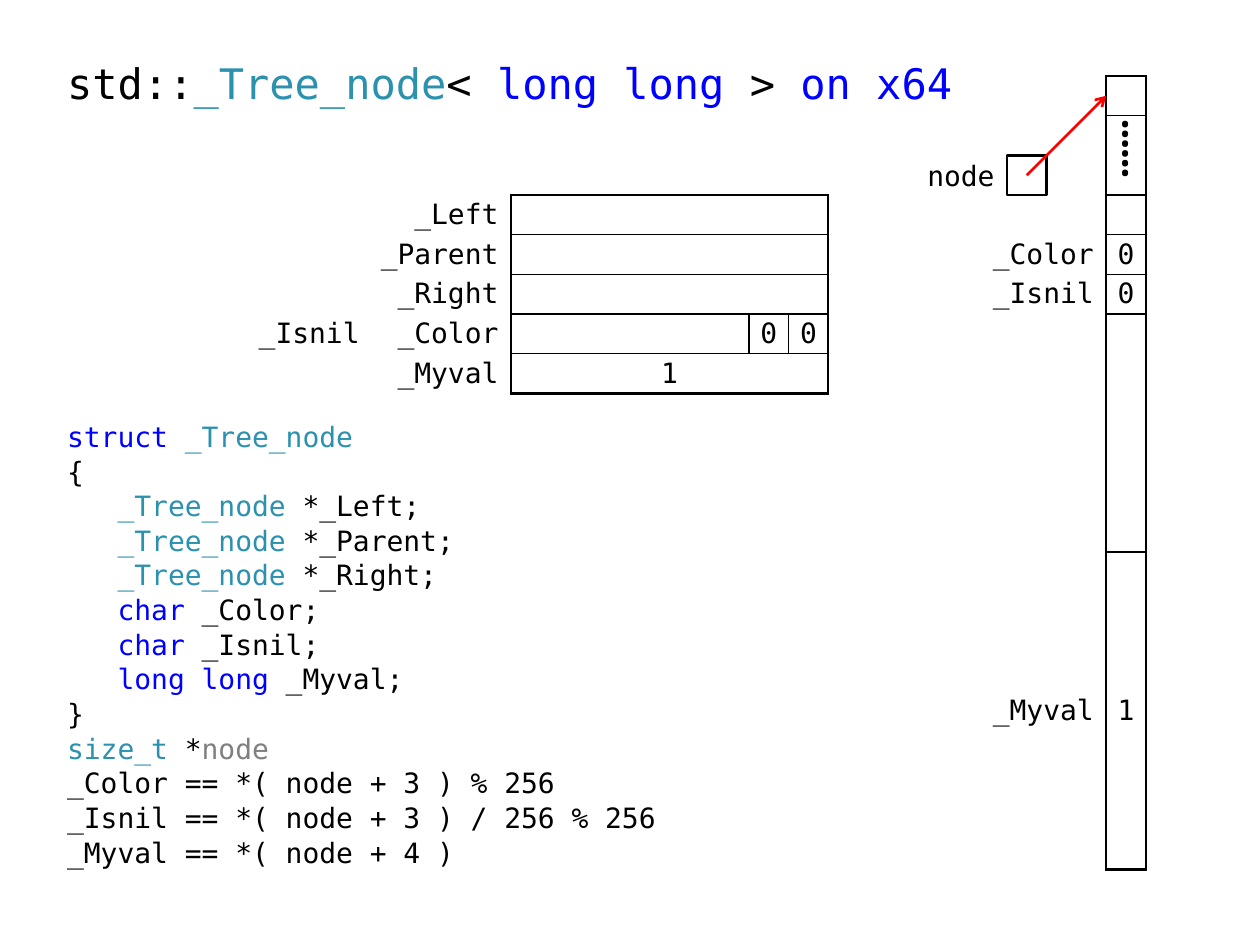
import lxml.etree
import pptx
import pptx.dml.color
import pptx.enum.shapes
import pptx.enum.text
import pptx.oxml.ns
import pptx.util

Cm = pptx.util.Cm
Pt = pptx.util.Pt
RGBColor = pptx.dml.color.RGBColor
ALIGN = pptx.enum.text.PP_ALIGN
ANCHOR = pptx.enum.text.MSO_ANCHOR
qn = pptx.oxml.ns.qn

BLACK = RGBColor(0, 0, 0)
WHITE = RGBColor(255, 255, 255)
RED = RGBColor(255, 0, 0)
BLUE = RGBColor(0, 0, 255)
TEAL = RGBColor(0x2B, 0x91, 0xAF)
GRAY = RGBColor(0x80, 0x80, 0x80)

MONO = "DejaVu Sans Mono"
CODE = {"name": MONO, "size": Pt(16)}
HEADING = {"name": MONO, "size": Pt(24)}
DOTS = {"name": "Times New Roman", "size": Pt(28)}
PLAIN_TABLE = "{2D5ABB26-0587-4C30-8999-92F81FD0307C}"

UNIT = 0.8
TOP = 1.53
THICK, THIN = 1.5, 0.75

TITLE = [("std::", BLACK), ("_Tree_node", TEAL), ("< ", BLACK),
         ("long long ", BLUE), (">", BLACK), (" on x64", BLUE)]


def member(kind, name, color):
    return [("   ", BLACK), (kind, color), (f" {name};", BLACK)]


LISTING = [
    [("struct ", BLUE), ("_Tree_node", TEAL)],
    [("{", BLACK)],
    *[member("_Tree_node", f"*{n}", TEAL) for n in ("_Left", "_Parent", "_Right")],
    *[member("char", n, BLUE) for n in ("_Color", "_Isnil")],
    member("long long", "_Myval", BLUE),
    [("}", BLACK)],
    [("size_t", TEAL), (" *", BLACK), ("node", GRAY)],
    [("_Color == *( node + 3 ) % 256", BLACK)],
    [("_Isnil == *( node + 3 ) / 256 % 256", BLACK)],
    [("_Myval == *( node + 4 )", BLACK)],
]


def set_attrs(target, values):
    for name, value in values.items():
        setattr(target, name, value)


def add_runs(p, runs, fmt):
    for text, color in runs:
        r = p.add_run()
        r.text = text
        set_attrs(r.font, fmt)
        r.font.color.rgb = color


def place(sp, left, top, width, height):
    set_attrs(sp, {"left": Cm(left), "top": Cm(top),
                   "width": Cm(width), "height": Cm(height)})


def fill_title(sp):
    place(sp, 1.1, 0.73, 18.8, 2)
    set_attrs(sp.text_frame, {"vertical_anchor": ANCHOR.MIDDLE, "word_wrap": True,
                              "auto_size": pptx.enum.text.MSO_AUTO_SIZE.NONE})
    p = sp.text_frame.paragraphs[0]
    set_attrs(p, {"alignment": ALIGN.LEFT, "line_spacing": 0.9})
    add_runs(p, TITLE, HEADING)


def fill_listing(sp):
    place(sp, 1.1, 8.33, 16.4, 9.2)
    tf = sp.text_frame
    set_attrs(tf, {"vertical_anchor": ANCHOR.TOP, "word_wrap": True,
                   "auto_size": pptx.enum.text.MSO_AUTO_SIZE.NONE})
    for i, runs in enumerate(LISTING):
        p = tf.add_paragraph() if i else tf.paragraphs[0]
        set_attrs(p, {"alignment": ALIGN.LEFT, "space_before": Pt(0.6 if i else 0)})
        pPr = p._p.get_or_add_pPr()
        set_attrs_xml = {"marL": "0", "indent": "0"}
        for name, value in set_attrs_xml.items():
            pPr.set(name, value)
        lxml.etree.SubElement(pPr, qn("a:buNone"))
        add_runs(p, runs, CODE)


def add_grid(s, left, top, widths, heights):
    frame = s.shapes.add_table(len(heights), len(widths), Cm(left), Cm(top),
                               Cm(sum(widths)), Cm(sum(heights)))
    table = frame.table
    set_attrs(table, {"first_row": False, "horz_banding": False})
    table._tbl.tblPr.find(qn("a:tableStyleId")).text = PLAIN_TABLE
    for column, width in zip(table.columns, widths):
        column.width = Cm(width)
    for row, height in zip(table.rows, heights):
        row.height = Cm(height)
    for cell in table.iter_cells():
        cell.fill.background()
        set_attrs(cell, {"margin_top": 0, "margin_bottom": 0,
                         "vertical_anchor": ANCHOR.MIDDLE})
    return table


def write_cell(cell, text, align, fmt=CODE):
    margin = Cm(0.25 if align == ALIGN.RIGHT else 0.2)
    set_attrs(cell, {"margin_left": margin, "margin_right": margin})
    p = cell.text_frame.paragraphs[0]
    p.alignment = align
    add_runs(p, [(text, BLACK)], fmt)


def add_borders(cell, widths):
    tcPr = cell._tc.get_or_add_tcPr()
    for i, (side, width) in enumerate(zip("LRTB", widths)):
        ln = lxml.etree.Element(qn(f"a:ln{side}"), w=str(int(Pt(width))))
        fill = lxml.etree.SubElement(ln, qn("a:solidFill"))
        lxml.etree.SubElement(fill, qn("a:srgbClr"), val=str(BLACK))
        tcPr.insert(i, ln)


def add_box(table, row, col, borders, text="", rows=1, cols=1, fmt=CODE):
    cell = table.cell(row, col)
    if rows * cols > 1:
        cell.merge(table.cell(row + rows - 1, col + cols - 1))
    for r in range(row, row + rows):
        for c in range(col, col + cols):
            add_borders(table.cell(r, c), borders)
    if text:
        write_cell(cell, text, ALIGN.CENTER, fmt)
    return cell


def add_word_layout(s):
    table = add_grid(s, 4.7, TOP + 3 * UNIT,
                     [2.8, 2.8, 6 * UNIT, UNIT, UNIT], [UNIT] * 5)
    for row, label in enumerate(["_Left", "_Parent", "_Right", None, "_Myval"]):
        if label is None:
            continue
        table.cell(row, 0).merge(table.cell(row, 1))
        write_cell(table.cell(row, 0), label, ALIGN.RIGHT)
        borders = (THICK, THICK, THIN if row else THICK, THICK if row == 4 else THIN)
        add_box(table, row, 2, borders, "1" if row == 4 else "", cols=3)
    for col, label in enumerate(["_Isnil", "_Color"]):
        write_cell(table.cell(3, col), label, ALIGN.RIGHT)
    add_box(table, 3, 2, (THICK, THIN, THIN, THIN))
    add_box(table, 3, 3, (THIN, THIN, THIN, THIN), "0")
    add_box(table, 3, 4, (THIN, THICK, THIN, THIN), "0")


def add_byte_layout(s):
    table = add_grid(s, 19.5, TOP, [2.8, UNIT],
                     [UNIT] * 6 + [6 * UNIT, 8 * UNIT])
    inner = (THICK, THICK, THIN, THIN)
    add_box(table, 0, 1, (THICK, THICK, THICK, THIN))
    dots = add_box(table, 1, 1, inner, "⸽", rows=2, fmt=DOTS)
    dots.margin_bottom = Cm(0.2)
    add_box(table, 3, 1, inner)
    add_box(table, 4, 1, inner, "0")
    add_box(table, 5, 1, inner, "0")
    add_box(table, 6, 1, (THICK, THICK, THIN, THICK))
    add_box(table, 7, 1, (THICK,) * 4, "1")
    for row, label in [(4, "_Color"), (5, "_Isnil"), (7, "_Myval")]:
        write_cell(table.cell(row, 0), label, ALIGN.RIGHT)


def add_pointer(s):
    left, top = 20.3, TOP + 2 * UNIT
    label = s.shapes.add_textbox(Cm(left - 2), Cm(top), Cm(2), Cm(UNIT))
    tf = label.text_frame
    set_attrs(tf, {"margin_left": Cm(0.25), "margin_right": Cm(0.25),
                   "margin_top": 0, "margin_bottom": 0, "word_wrap": True,
                   "vertical_anchor": ANCHOR.MIDDLE})
    tf.paragraphs[0].alignment = ALIGN.RIGHT
    add_runs(tf.paragraphs[0], [("node", BLACK)], CODE)

    box = s.shapes.add_shape(pptx.enum.shapes.MSO_SHAPE.RECTANGLE,
                             Cm(left), Cm(top), Cm(UNIT), Cm(UNIT))
    box.shadow.inherit = False
    box.fill.solid()
    box.fill.fore_color.rgb = WHITE
    box.line.color.rgb = BLACK
    box.line.width = Pt(THICK)

    arrow = s.shapes.add_connector(
        pptx.enum.shapes.MSO_CONNECTOR.STRAIGHT,
        Cm(left + UNIT / 2), Cm(top + UNIT / 2), Cm(22.3), Cm(TOP + UNIT / 2))
    arrow.line.color.rgb = RED
    arrow.line.width = Pt(THICK)
    spPr = arrow._element.spPr
    lxml.etree.SubElement(spPr.find(qn("a:ln")), qn("a:tailEnd"), type="arrow")
    lxml.etree.SubElement(spPr, qn("a:effectLst"))


def main():
    prs = pptx.Presentation()
    set_attrs(prs, {"slide_width": Cm(25.4), "slide_height": Cm(19.05)})
    s = prs.slides.add_slide(prs.slide_layouts[1])
    fill_title(s.shapes.title)
    fill_listing(s.placeholders[1])
    add_word_layout(s)
    add_byte_layout(s)
    add_pointer(s)
    prs.save("out.pptx")


if __name__ == "__main__":
    main()
